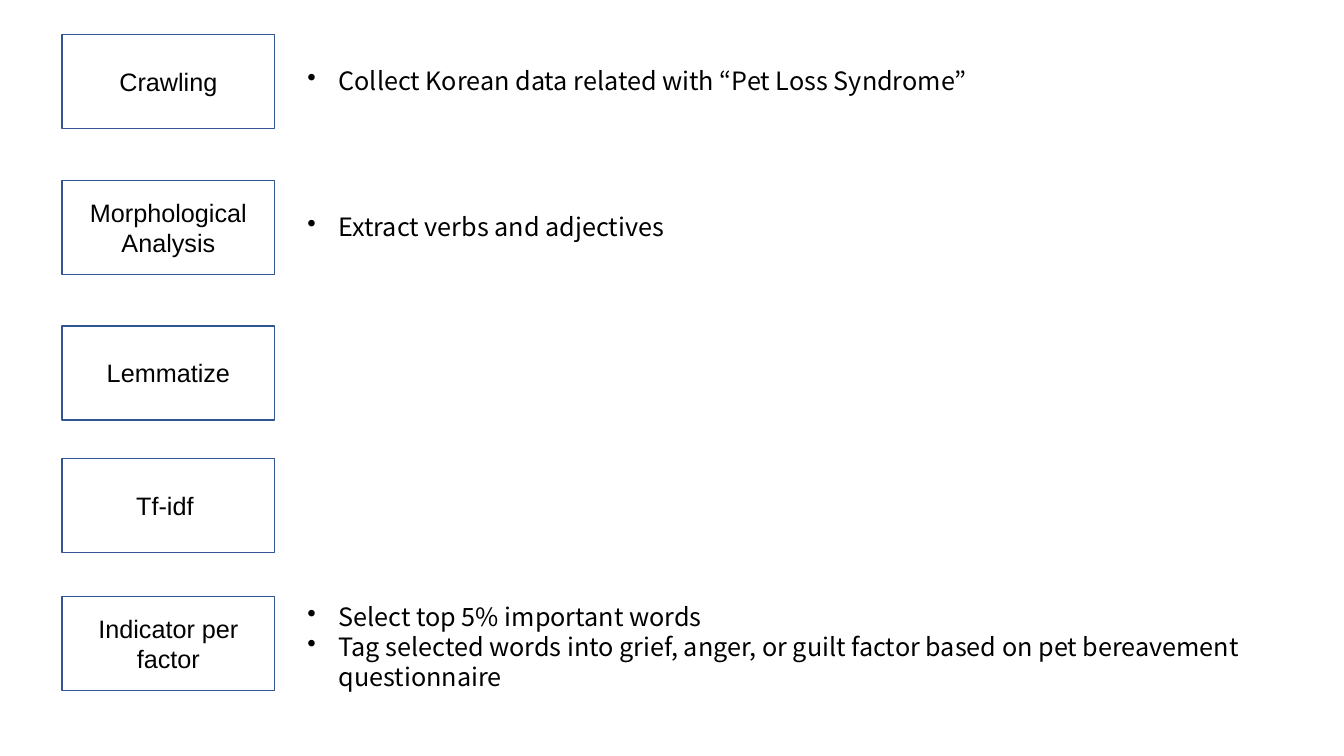
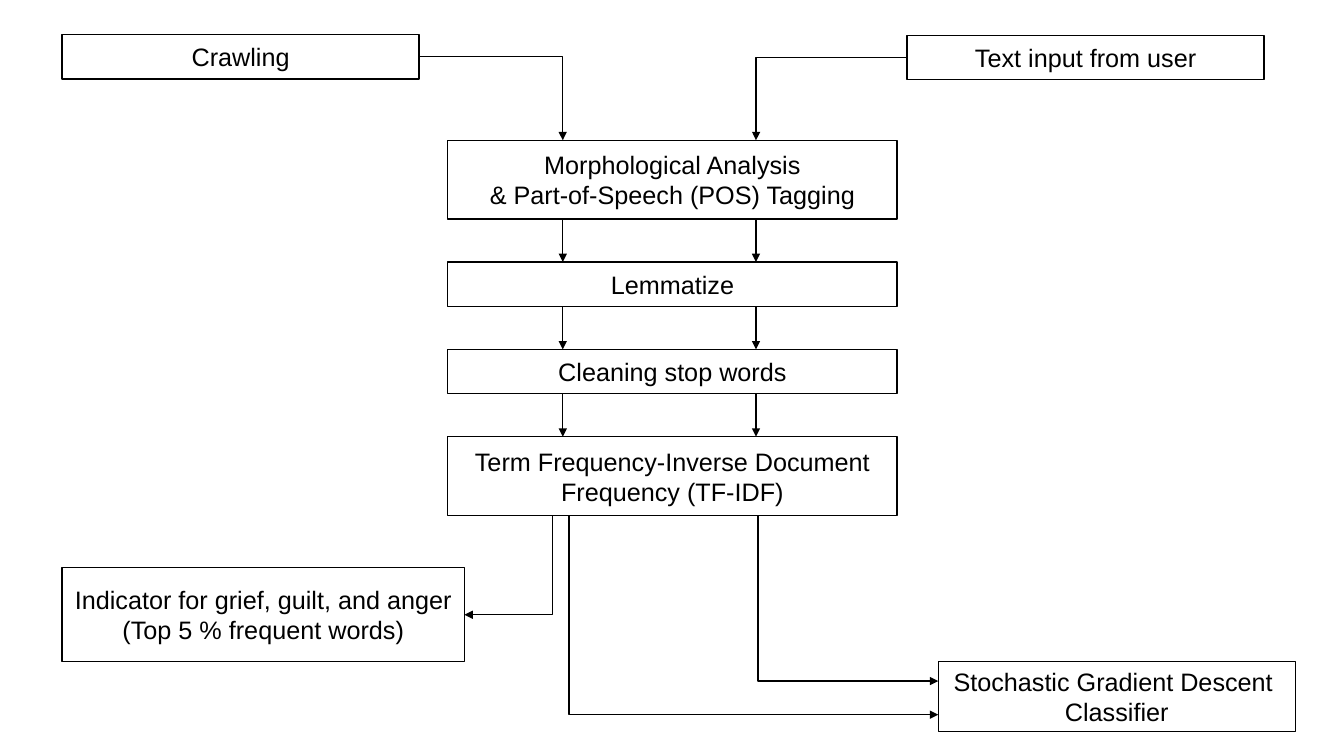
from itertools import pairwise

from lxml import etree
from pptx import Presentation
from pptx.dml.color import RGBColor
from pptx.enum.shapes import MSO_CONNECTOR, MSO_SHAPE
from pptx.enum.text import MSO_ANCHOR, PP_ALIGN
from pptx.oxml.ns import qn
from pptx.util import Emu, Inches, Pt

RECTANGLE = MSO_SHAPE.RECTANGLE
STRAIGHT, ELBOW = MSO_CONNECTOR.STRAIGHT, MSO_CONNECTOR.ELBOW
LEFT, CENTER = PP_ALIGN.LEFT, PP_ALIGN.CENTER
MIDDLE, TOP = MSO_ANCHOR.MIDDLE, MSO_ANCHOR.TOP

COLORS = {"ink": "000000", "blue": "325491"}
LABEL_FONT, NOTE_FONT = "Arial", "Noto Sans CJK KR"
COLUMNS = 160
MARGIN = 7.4
TALL, SHORT = 11.2, 5.3


def write_text(shape, lines, font=LABEL_FONT, size=18, color="ink",
               align=LEFT, anchor=TOP, bullet=None):
    frame = shape.text_frame
    frame.word_wrap = True
    frame.vertical_anchor = anchor
    for index, line in enumerate(lines):
        paragraph = frame.add_paragraph() if index else frame.paragraphs[0]
        paragraph.alignment = align
        if bullet:
            properties = paragraph._p.get_or_add_pPr()
            indent = Inches(0.31)
            properties.set("marL", str(indent))
            properties.set("indent", str(-indent))
            etree.SubElement(properties, qn("a:buChar"), char=bullet)
        run = paragraph.add_run()
        run.text = line
        run.font.name = font
        run.font.size = Pt(size)
        run.font.color.rgb = RGBColor.from_string(COLORS[color])


class Diagram:
    """Draws on the current slide; lengths are square grid cells, 160 across."""

    def __init__(self):
        self.presentation = Presentation()
        self.presentation.slide_width = Inches(13.33)
        self.presentation.slide_height = Inches(7.5)
        self.cell = self.presentation.slide_width / COLUMNS
        self.slide = None

    def new_slide(self):
        blank = self.presentation.slide_layouts[6]
        self.slide = self.presentation.slides.add_slide(blank)

    def grid(self, *cells):
        return [Emu(round(cell * self.cell)) for cell in cells]

    def outline(self, line, color):
        line.color.rgb = RGBColor.from_string(COLORS[color])
        line.width = Pt(1)

    def box(self, lines, left, top, width, height, color="ink"):
        shape = self.slide.shapes.add_shape(
            RECTANGLE, *self.grid(left, top, width, height))
        shape.shadow.inherit = False
        shape.fill.background()
        self.outline(shape.line, color)
        write_text(shape, lines, align=CENTER, anchor=MIDDLE)

    def notes(self, lines, left, top, width, height):
        shape = self.slide.shapes.add_textbox(
            *self.grid(left, top, width, height))
        write_text(shape, lines, font=NOTE_FONT, bullet="•")

    def arrow(self, start, end, bend=None):
        """Straight arrow, or an elbow turning at the share `bend` of its width."""
        kind = STRAIGHT if bend is None else ELBOW
        connector = self.slide.shapes.add_connector(
            kind, *self.grid(*start, *end))
        self.outline(connector.line, "ink")
        properties = connector._element.spPr
        if bend is not None:
            geometry = properties.find(qn("a:prstGeom"))
            adjustments = geometry.get_or_add_avLst()
            etree.SubElement(adjustments, qn("a:gd"), name="adj1",
                             fmla=f"val {round(bend * 100000)}")
        line = properties.find(qn("a:ln"))
        etree.SubElement(line, qn("a:tailEnd"), type="triangle")
        etree.SubElement(properties, qn("a:effectLst"))


def draw_steps(diagram):
    diagram.new_slide()
    note_left = 35.4
    steps = [
        ("Crawling", 4.1),
        ("Morphological Analysis", 21.5),
        ("Lemmatize", 38.8),
        ("Tf-idf ", 54.6),
        ("Indicator per factor", 71),
    ]
    for label, top in steps:
        diagram.box([label], MARGIN, top, 25.3, TALL, color="blue")

    notes = [
        (["Collect Korean data related with “Pet Loss Syndrome”"], 7.2, 81.4, 4.8),
        (["Extract verbs and adjectives"], 24.6, 81.4, 4.8),
        (["Select top 5% important words",
          "Tag selected words into grief, anger, or guilt factor based on "
          "pet bereavement questionnaire"], 71, 124.6, 12.1),
    ]
    for lines, top, width, height in notes:
        diagram.notes(lines, note_left, top, width, height)


def draw_flow(diagram):
    diagram.new_slide()
    side_width, double = 42.5, 9.4
    user_left, classifier_left = 108, 111.7
    indicator_width = 47.9
    diagram.box(["Crawling"], MARGIN, 4.1, side_width, SHORT)
    diagram.box(["Text input from user"], user_left, 4.2, side_width, SHORT)
    diagram.box(["Indicator for grief, guilt, and anger ",
                 "(Top 5 % frequent words)"], MARGIN, 67.6, indicator_width, TALL)
    diagram.box(["Stochastic Gradient Descent ", "Classifier"],
                classifier_left, 78.8, side_width, 8.3)

    stages = [
        (["Morphological Analysis", "& Part-of-Speech (POS) Tagging"], double),
        (["Lemmatize"], SHORT),
        (["Cleaning stop words"], SHORT),
        (["Term Frequency-Inverse Document Frequency (TF-IDF)"], double),
    ]
    first_top, gap = 16.7, 5.1
    top = first_top
    spans = []
    for lines, height in stages:
        diagram.box(lines, 53.3, top, 53.5, height)
        spans.append((top, top + height))
        top += height + gap

    crawl_lane, user_lane = 67, 90
    for (_, bottom), (next_top, _) in pairwise(spans):
        for lane in (crawl_lane, user_lane):
            diagram.arrow((lane, bottom), (lane, next_top))

    last_bottom = spans[-1][1]
    across_first, down_first = 0.999, 0.001
    elbows = [
        ((MARGIN + side_width, 6.75), (crawl_lane, first_top), across_first),
        ((user_left, 6.85), (user_lane, first_top), across_first),
        ((65.8, last_bottom), (MARGIN + indicator_width, 73.2), down_first),
        ((67.7, last_bottom), (classifier_left, 85.1), down_first),
        ((90.2, last_bottom), (classifier_left, 81.1), down_first),
    ]
    for start, end, bend in elbows:
        diagram.arrow(start, end, bend)


def main():
    diagram = Diagram()
    draw_steps(diagram)
    draw_flow(diagram)
    diagram.presentation.save("out.pptx")


if __name__ == "__main__":
    main()
